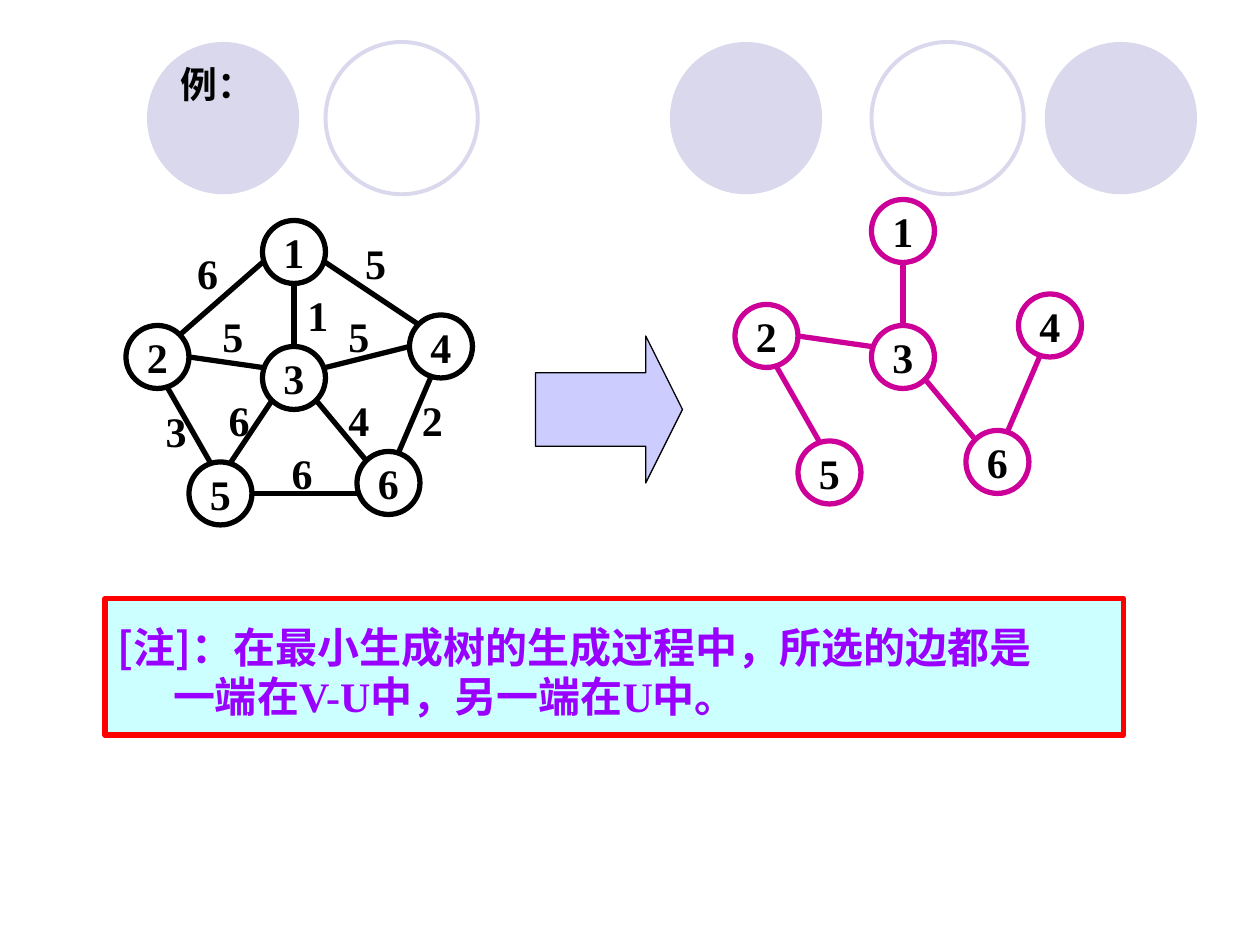
from dataclasses import dataclass

from lxml.etree import SubElement
from pptx import Presentation
from pptx.dml.color import RGBColor
from pptx.enum.shapes import MSO_CONNECTOR, MSO_SHAPE
from pptx.enum.text import MSO_ANCHOR, MSO_AUTO_SIZE, PP_ALIGN
from pptx.oxml.ns import qn
from pptx.util import Emu, Pt

PX = 914400 // 120  # 120 px to the inch


@dataclass(frozen=True)
class Theme:
    black: str = "000000"
    circle: str = "D9D8EC"
    tree: str = "CC0099"
    arrow: str = "CCCCFF"
    note_fill: str = "CCFFFF"
    note_line: str = "FF0000"
    note_text: str = "9900FF"
    title_size: float = 21
    text_size: float = 24
    note_spacing: float = 28.5
    serif: str = "Times New Roman"
    sans: str = "Arial"
    cjk: str = "Noto Sans CJK SC"


THEME = Theme()

# Node positions (left, top) in the full graph
NODE = 60
NODES = {1: (250, 210), 4: (390, 300), 6: (340, 430),
         5: (180, 440), 2: (120, 310), 3: (250, 330)}

# (node, node): (line ends, weight, weight position)
EDGES = {
    (1, 2): ((250, 250, 170, 320), 6, (176, 230)),
    (2, 5): ((160, 370, 200, 440), 3, (146, 380)),
    (5, 6): ((240, 470, 340, 470), 6, (266, 420)),
    (4, 6): ((410, 360, 380, 430), 2, (390, 370)),
    (1, 4): ((310, 250, 400, 310), 5, (336, 220)),
    (1, 3): ((280, 270, 280, 330), 1, (281, 270)),
    (3, 5): ((260, 380, 220, 440), 6, (206, 370)),
    (3, 6): ((300, 380, 350, 440), 4, (320, 370)),
    (3, 4): ((310, 350, 390, 330), 5, (320, 290)),
    (2, 3): ((180, 340, 250, 350), 5, (200, 290)),
}
TREE_EDGES = [(1, 3), (3, 6), (4, 6), (2, 3), (2, 5)]
TREE_SHIFT = (580, -20)


def px(*values):
    return [Emu(v * PX) for v in values]


def rgb(color):
    return RGBColor.from_string(color)


def format_run(r, size, font, color):
    r.font.size = Pt(size)
    r.font.name = font
    r.font.bold = True
    r.font.color.rgb = rgb(color)
    SubElement(r.font._element, qn("a:ea")).set("typeface", THEME.cjk)


def add_shape(slide, kind, box, fill=None, line=None, width=3):
    sp = slide.shapes.add_shape(kind, *px(*box))
    sp.shadow.inherit = False
    if fill:
        sp.fill.solid()
        sp.fill.fore_color.rgb = rgb(fill)
    else:
        sp.fill.background()
    if line:
        sp.line.color.rgb = rgb(line)
        sp.line.width = Pt(width)
    else:
        sp.line.fill.background()
    return sp


def set_number(sp, number, align):
    tf = sp.text_frame
    tf.text = str(number)
    tf.word_wrap = False
    p = tf.paragraphs[0]
    p.alignment = align
    format_run(p.runs[0], THEME.text_size, THEME.serif, THEME.black)


def add_node(slide, number, x, y, color):
    sp = add_shape(slide, MSO_SHAPE.OVAL, (x, y, NODE, NODE), line=color)
    sp.text_frame.vertical_anchor = MSO_ANCHOR.MIDDLE
    set_number(sp, number, PP_ALIGN.CENTER)


def add_edge(slide, ends, color):
    line = slide.shapes.add_connector(MSO_CONNECTOR.STRAIGHT, *px(*ends))
    line.line.color.rgb = rgb(color)
    line.line.width = Pt(3)
    SubElement(line._element.spPr, qn("a:effectLst"))


def add_weight(slide, weight, x, y):
    sp = slide.shapes.add_textbox(*px(x, y, 43, 60))
    set_number(sp, weight, PP_ALIGN.LEFT)
    sp.text_frame.auto_size = MSO_AUTO_SIZE.SHAPE_TO_FIT_TEXT


def add_graph(slide, edges, color, shift=(0, 0), weights=False):
    dx, dy = shift
    for number, (x, y) in NODES.items():
        add_node(slide, number, x + dx, y + dy, color)
    for edge in edges:
        (x1, y1, x2, y2), weight, place = EDGES[edge]
        add_edge(slide, (x1 + dx, y1 + dy, x2 + dx, y2 + dy), color)
        if weights:
            add_weight(slide, weight, *place)


def add_circles(slide):
    for x, filled in ((638, True), (995, True), (140, True), (830, False), (310, False)):
        add_shape(slide, MSO_SHAPE.OVAL, (x, 40, 145, 145),
                  fill=THEME.circle if filled else None,
                  line=None if filled else THEME.circle, width=2.25)


def set_title(slide, text):
    sp = slide.shapes.title
    sp.left, sp.top, sp.width, sp.height = px(160, 40, 100, 80)
    tf = sp.text_frame
    tf.text = text
    tf.auto_size = MSO_AUTO_SIZE.NONE
    tf.vertical_anchor = MSO_ANCHOR.MIDDLE
    p = tf.paragraphs[0]
    p.alignment = PP_ALIGN.LEFT
    format_run(p.runs[0], THEME.title_size, THEME.sans, THEME.black)
    # Bring the title in front of the circles
    slide.shapes._spTree.append(sp._element)


def add_note(slide, lines, indent):
    sp = add_shape(slide, MSO_SHAPE.RECTANGLE, (100, 570, 970, 130),
                   THEME.note_fill, THEME.note_line)
    tf = sp.text_frame
    tf.word_wrap = True
    tf.vertical_anchor = MSO_ANCHOR.MIDDLE
    tf.margin_top = px(15)[0]
    for i, parts in enumerate(lines):
        p = tf.add_paragraph() if i else tf.paragraphs[0]
        p.alignment = PP_ALIGN.LEFT
        p.line_spacing = Pt(THEME.note_spacing)
        if i:
            p._p.get_or_add_pPr().set("marL", str(indent * PX))
        for text in parts:
            r = p.add_run()
            r.text = text
            font = THEME.serif if text.isascii() else THEME.cjk
            format_run(r, THEME.text_size, font, THEME.note_text)


def main():
    prs = Presentation()
    prs.slide_width, prs.slide_height = px(1200, 900)
    slide = prs.slides.add_slide(prs.slide_layouts[5])

    # Heading
    add_circles(slide)
    set_title(slide, "例：")

    # Weighted graph, arrow and its minimum spanning tree
    add_graph(slide, EDGES, THEME.black, weights=True)
    add_graph(slide, TREE_EDGES, THEME.tree, TREE_SHIFT)
    arrow = add_shape(slide, MSO_SHAPE.RIGHT_ARROW, (510, 320, 140, 140),
                      THEME.arrow, THEME.black, 0.75)
    arrow.adjustments[0], arrow.adjustments[1] = 0.5, 0.25

    # Remark
    add_note(slide, [["[注]：在最小生成树的生成过程中，所选的边都是"],
                     ["一端在", "V-U", "中，另一端在", "U", "中。"]], indent=53)
    prs.save("out.pptx")


if __name__ == "__main__":
    main()
